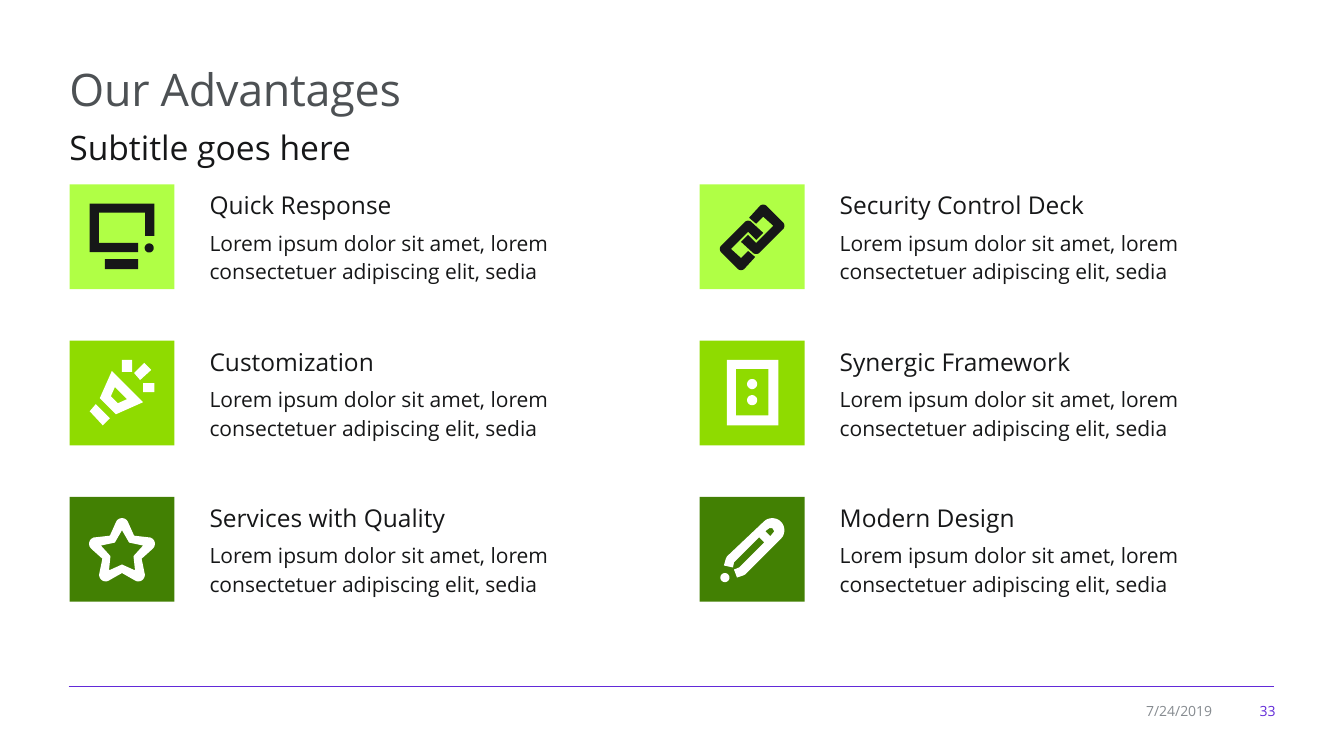
from math import cos, radians, sin

from lxml import etree
from pptx import Presentation
from pptx.dml.color import RGBColor
from pptx.enum.shapes import MSO_CONNECTOR, MSO_SHAPE
from pptx.enum.text import MSO_ANCHOR, PP_ALIGN
from pptx.oxml.ns import qn
from pptx.util import Inches, Pt

LINE, RECT = MSO_CONNECTOR.STRAIGHT, MSO_SHAPE.RECTANGLE
TOP, MIDDLE = MSO_ANCHOR.TOP, MSO_ANCHOR.MIDDLE
LEFT, RIGHT = PP_ALIGN.LEFT, PP_ALIGN.RIGHT

COLORS = {
    "ink": "161718", "title": "4D5154", "date": "868B90", "violet": "622AD8",
    "white": "FFFFFF", "lime": "B0FF45", "green": "8FDB00", "forest": "428003",
}
FONT = "Open Sans"
BODY = "Lorem ipsum dolor sit amet, lorem consectetuer adipiscing elit, sedia"
TILE = 1.04
ROW_TOP, ROW_STEP = 1.83, 1.55
COL_LEFT, COL_STEP = 0.69, 6.25
UNIT = 914.4  # a thousandth of an inch


def color(name):
    return RGBColor.from_string(COLORS[name])


# Icon outlines are in hundredths of an inch from the corner of the tile.
def box(x, y, w, h):
    return [(x, y), (x + w, y), (x + w, y + h), (x, y + h)]


def arc(x, y, r, start, end, steps=16):
    """Points on a circle, clockwise between two angles in degrees."""
    turns = [radians(start + (end - start) * i / steps) for i in range(steps + 1)]
    return [(x + r * cos(t), y + r * sin(t)) for t in turns]


def dot(x, y, r):
    return arc(x, y, r, 0, 360, 32)


def polar(r, angle):
    """Point around the centre of the star."""
    return 52 + r * cos(radians(angle)), 55 + r * sin(radians(angle))


def star():
    outer, inner = [], []
    for angle in range(-90, 270, 72):
        outer += arc(*polar(27.5, angle), 6.5, angle - 65, angle + 65)
        outer.append(polar(20.5, angle + 36))
        inner += [polar(22, angle), polar(12, angle + 36)]
    return [outer, inner]


def chain():
    """One link, and the same link after a half turn."""
    link = [(48, 66), (55, 72), *arc(41, 80, 5, 45, 135),
            *arc(25, 64, 5, 135, 225), *arc(48, 41, 5, 225, 315),
            (63, 48), (56, 55), (48, 47), (31, 64), (41, 73)]
    return [link, [(104 - x, 105 - y) for x, y in link]]


SCREEN = [
    [(75, 51), (75, 28), (29, 28), (29, 58), (68, 58), (68, 67),
     (20, 67), (20, 19), (84, 19), (84, 51)],
    box(35, 74, 33, 10), dot(79, 63, 4.5),
]
POPPER = [
    [(30, 57), (46, 73), (73, 61), (42, 30)],
    [(57, 58), (48, 62), (41, 55), (45, 46)],
    [(26, 63), (40, 77), (33, 84), (20, 70)],
    [(70, 39), (64, 32), (74, 22), (81, 29)],
    box(52, 19, 10, 12), box(73, 42, 11, 9),
]
FRAME = [box(27, 19, 51, 65), box(36, 28, 32, 46), dot(52, 43, 5), dot(52, 59, 5)]
PENCIL = [
    dot(25, 80, 4.5),
    [*arc(72, 33, 12, 225, 405), (45, 77), (43, 78), (37, 80), (34, 72),
     (39, 70), (64, 45), (59, 40), (34, 65), (33, 70), (24, 68), (26, 61), (27, 59)],
    [(65, 34), (69, 31), (72, 31), (74, 34), (70, 39)],
]

COLUMNS = [
    [("Quick Response", SCREEN), ("Customization", POPPER),
     ("Services with Quality", star())],
    [("Security Control Deck", chain()), ("Synergic Framework", FRAME),
     ("Modern Design", PENCIL)],
]
ROWS = [("lime", "ink"), ("green", "white"), ("forest", "white")]


def add_text(slide, text, x, y, w, h, size, ink="ink", anchor=TOP, spc=None, **para):
    frame = slide.shapes.add_textbox(*map(Inches, (x, y, w, h))).text_frame
    frame.word_wrap = True
    frame.vertical_anchor = anchor
    p = frame.paragraphs[0]
    for key, value in para.items():
        setattr(p, key, value)
    run = p.add_run()
    run.text = text
    for key, value in {"name": FONT, "size": Pt(size)}.items():
        setattr(run.font, key, value)
    run.font.color.rgb = color(ink)
    if spc:
        run.font._element.set("spc", str(spc))


def paint(shape, fill):
    shape.shadow.inherit = False
    shape.fill.solid()
    shape.fill.fore_color.rgb = color(fill)
    shape.line.fill.background()


def add_icon(slide, x, y, paths, fill, ink):
    shapes = slide.shapes.add_group_shape().shapes
    paint(shapes.add_shape(RECT, *map(Inches, (x, y, TILE, TILE))), fill)
    paths = [[(px * 10, py * 10) for px, py in path] for path in paths]
    pen = shapes.build_freeform(*paths[0][0], scale=UNIT)
    pen.add_line_segments(paths[0][1:])
    for path in paths[1:]:
        pen.move_to(*path[0])
        pen.add_line_segments(path[1:])
    paint(pen.convert_to_shape(Inches(x), Inches(y)), ink)


def add_rule(slide, x, y, end):
    rule = slide.shapes.add_connector(LINE, *map(Inches, (x, y, end, y)))
    rule.line.color.rgb = color("violet")
    rule.line.width = Pt(0.75)
    etree.SubElement(rule._element.spPr, qn("a:effectLst"))


def main():
    deck = Presentation()
    deck.slide_width, deck.slide_height = Inches(13.33), Inches(7.5)
    slide = deck.slides.add_slide(deck.slide_layouts[6])

    add_rule(slide, 0.68, 6.81, 12.64)
    add_text(slide, "Our Advantages", 0.59, 0.56, 12.16, 0.66, 32, "title", spc=-20)
    add_text(slide, "Subtitle goes here", 0.59, 1.14, 12.03, 0.54, 24,
             line_spacing=1.17, space_after=Pt(6))

    for c, column in enumerate(COLUMNS):
        x = COL_LEFT + c * COL_STEP
        for r, ((head, paths), (fill, ink)) in enumerate(zip(column, ROWS)):
            y = ROW_TOP + r * ROW_STEP
            add_icon(slide, x, y, paths, fill, ink)
            add_text(slide, head, x + 1.29, y + 0.01, 4.44, 0.4, 17.5)
            add_text(slide, BODY, x + 1.29, y + 0.37, 4.44, 0.65, 15,
                     alignment=LEFT, line_spacing=1.14)

    add_text(slide, "7/24/2019", 11.17, 6.92, 0.95, 0.26, 10, "date", MIDDLE,
             alignment=RIGHT)
    add_text(slide, "33", 12.24, 6.92, 0.51, 0.26, 10, "violet", MIDDLE,
             alignment=RIGHT)
    deck.save("out.pptx")


if __name__ == "__main__":
    main()
